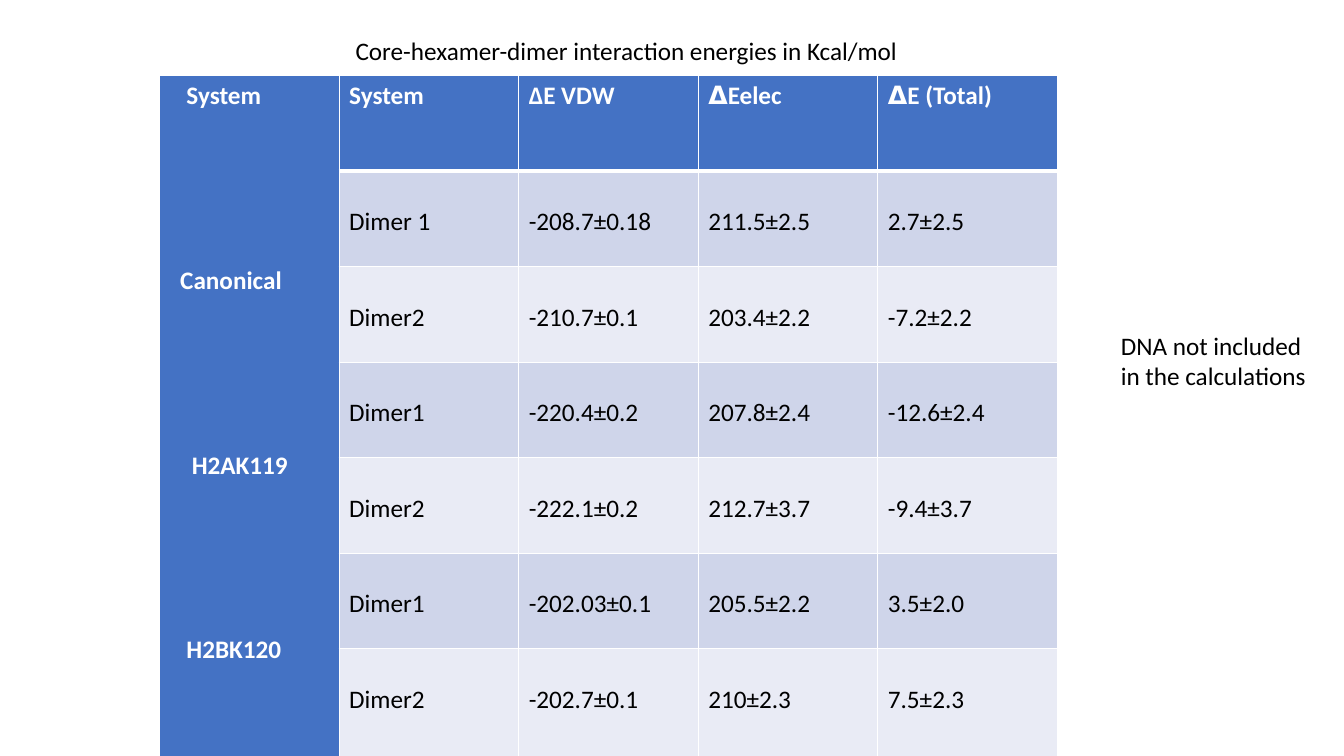
"""Build a slide with a table of core-hexamer-dimer interaction energies."""
from dataclasses import dataclass

import lxml.etree
import pptx
import pptx.dml.color
import pptx.enum.text
import pptx.oxml.ns
import pptx.util

EMU_PER_PX = 9525
FONT_NAME = "Calibri"
FONT_SIZE = pptx.util.Pt(18)
BLACK = pptx.dml.color.RGBColor(0x00, 0x00, 0x00)
WHITE = pptx.dml.color.RGBColor(0xFF, 0xFF, 0xFF)
BLUE = pptx.dml.color.RGBColor(0x44, 0x72, 0xC4)
DARK_BAND = pptx.dml.color.RGBColor(0xCF, 0xD5, 0xEA)
LIGHT_BAND = pptx.dml.color.RGBColor(0xE9, 0xEB, 0xF5)

TABLE_LEFT, TABLE_TOP = 152, 72
COLUMN_WIDTH, ROW_HEIGHT, LAST_ROW_HEIGHT = 171, 91, 102
HEADER_TOP_MARGIN, BODY_TOP_MARGIN = 5, 34
SYSTEM_GAP = pptx.util.Pt(110)


@dataclass(frozen=True)
class SystemLabel:
    text: str
    indent: int


@dataclass(frozen=True)
class Caption:
    text: str
    left: int
    top: int
    width: int
    height: int
    wrap: bool


SYSTEMS = [
    SystemLabel("System", 16),
    SystemLabel("Canonical", 10),
    SystemLabel("H2AK119", 21),
    SystemLabel("H2BK120", 16),
]
HEADERS = ["System", "ΔE VDW", "𝝙Eelec", "𝝙E (Total)"]
ENERGIES = [
    ["Dimer 1", "-208.7±0.18", "211.5±2.5", "2.7±2.5"],
    ["Dimer2", "-210.7±0.1", "203.4±2.2", "-7.2±2.2"],
    ["Dimer1", "-220.4±0.2", "207.8±2.4", "-12.6±2.4"],
    ["Dimer2", "-222.1±0.2", "212.7±3.7", "-9.4±3.7"],
    ["Dimer1", "-202.03±0.1", "205.5±2.2", "3.5±2.0"],
    ["Dimer2", "-202.7±0.1", "210±2.3", "7.5±2.3"],
]
TITLE = Caption("Core-hexamer-dimer interaction energies in Kcal/mol", 329, 29, 547, 38, False)
NOTE = Caption("DNA not included\nin the calculations", 1058, 310, 220, 68, True)


def px(length: int) -> pptx.util.Emu:
    return pptx.util.Emu(length * EMU_PER_PX)


def format_text(text_frame, color: pptx.dml.color.RGBColor, bold: bool = False) -> None:
    for paragraph in text_frame.paragraphs:
        paragraph.alignment = pptx.enum.text.PP_ALIGN.LEFT
        for run in paragraph.runs:
            run.font.name = FONT_NAME
            run.font.size = FONT_SIZE
            run.font.bold = bold
            run.font.color.rgb = color


def fill_caption(shape, caption: Caption) -> None:
    shape.left, shape.top = px(caption.left), px(caption.top)
    shape.width, shape.height = px(caption.width), px(caption.height)
    text_frame = shape.text_frame
    text_frame.text = caption.text
    text_frame.word_wrap = caption.wrap
    text_frame.auto_size = pptx.enum.text.MSO_AUTO_SIZE.NONE
    text_frame.vertical_anchor = pptx.enum.text.MSO_ANCHOR.TOP
    format_text(text_frame, BLACK)


def style_cell(cell, fill: pptx.dml.color.RGBColor, bottom_points: int) -> None:
    qn = pptx.oxml.ns.qn
    properties = cell._tc.get_or_add_tcPr()
    for side, points in (("L", 1), ("R", 1), ("T", 1), ("B", bottom_points)):
        line = lxml.etree.SubElement(properties, qn(f"a:ln{side}"), w=str(pptx.util.Pt(points)))
        solid = lxml.etree.SubElement(line, qn("a:solidFill"))
        lxml.etree.SubElement(solid, qn("a:srgbClr"), val=str(WHITE))
    cell.fill.solid()
    cell.fill.fore_color.rgb = fill


def fill_system_column(table) -> None:
    cell = table.cell(0, 0)
    cell.merge(table.cell(len(ENERGIES), 0))
    style_cell(cell, BLUE, 3)
    cell.text_frame.text = "\n".join(system.text for system in SYSTEMS)
    format_text(cell.text_frame, WHITE, True)
    for index, (paragraph, system) in enumerate(zip(cell.text_frame.paragraphs, SYSTEMS)):
        paragraph._p.get_or_add_pPr().set("marL", str(px(system.indent)))
        if index:
            paragraph.space_before = SYSTEM_GAP


def add_energy_table(slide) -> None:
    rows = [HEADERS, *ENERGIES]
    column_count = len(HEADERS) + 1
    height = ROW_HEIGHT * len(ENERGIES) + LAST_ROW_HEIGHT
    table = slide.shapes.add_table(
        len(rows), column_count, px(TABLE_LEFT), px(TABLE_TOP),
        px(COLUMN_WIDTH * column_count), px(height),
    ).table
    table.horz_banding = False
    table.first_row = False
    for column in table.columns:
        column.width = px(COLUMN_WIDTH)
    for row in table.rows:
        row.height = px(ROW_HEIGHT)
    table.rows[len(ENERGIES)].height = px(LAST_ROW_HEIGHT)
    fill_system_column(table)
    for row_index, values in enumerate(rows):
        is_header = row_index == 0
        band = DARK_BAND if row_index % 2 else LIGHT_BAND
        for column_index, value in enumerate(values, start=1):
            cell = table.cell(row_index, column_index)
            style_cell(cell, BLUE if is_header else band, 3 if is_header else 1)
            cell.margin_top = px(HEADER_TOP_MARGIN if is_header else BODY_TOP_MARGIN)
            cell.text_frame.text = value
            format_text(cell.text_frame, WHITE if is_header else BLACK, is_header)


def main() -> None:
    presentation = pptx.Presentation()
    presentation.slide_width, presentation.slide_height = px(1280), px(720)
    slide = presentation.slides.add_slide(presentation.slide_layouts[5])
    add_energy_table(slide)
    fill_caption(slide.shapes.title, TITLE)
    fill_caption(slide.shapes.add_textbox(0, 0, 0, 0), NOTE)
    presentation.save("out.pptx")


if __name__ == "__main__":
    main()
